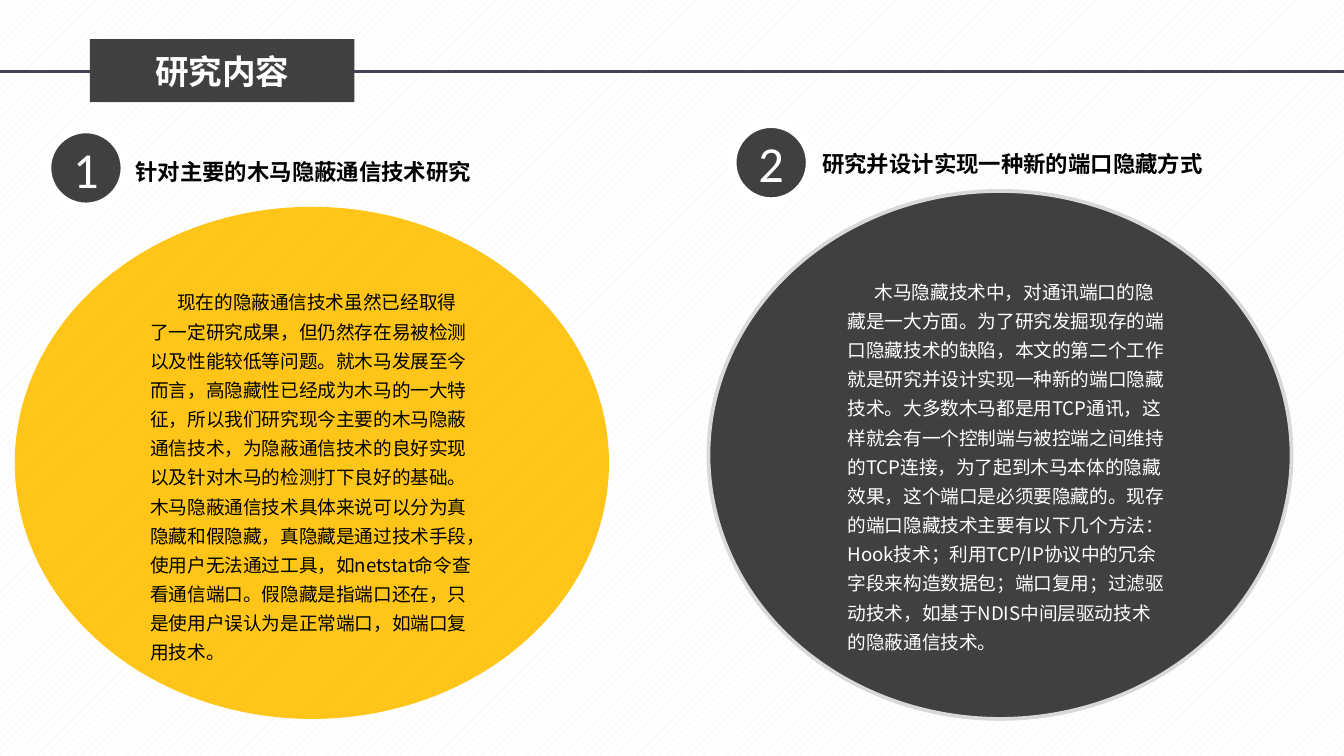
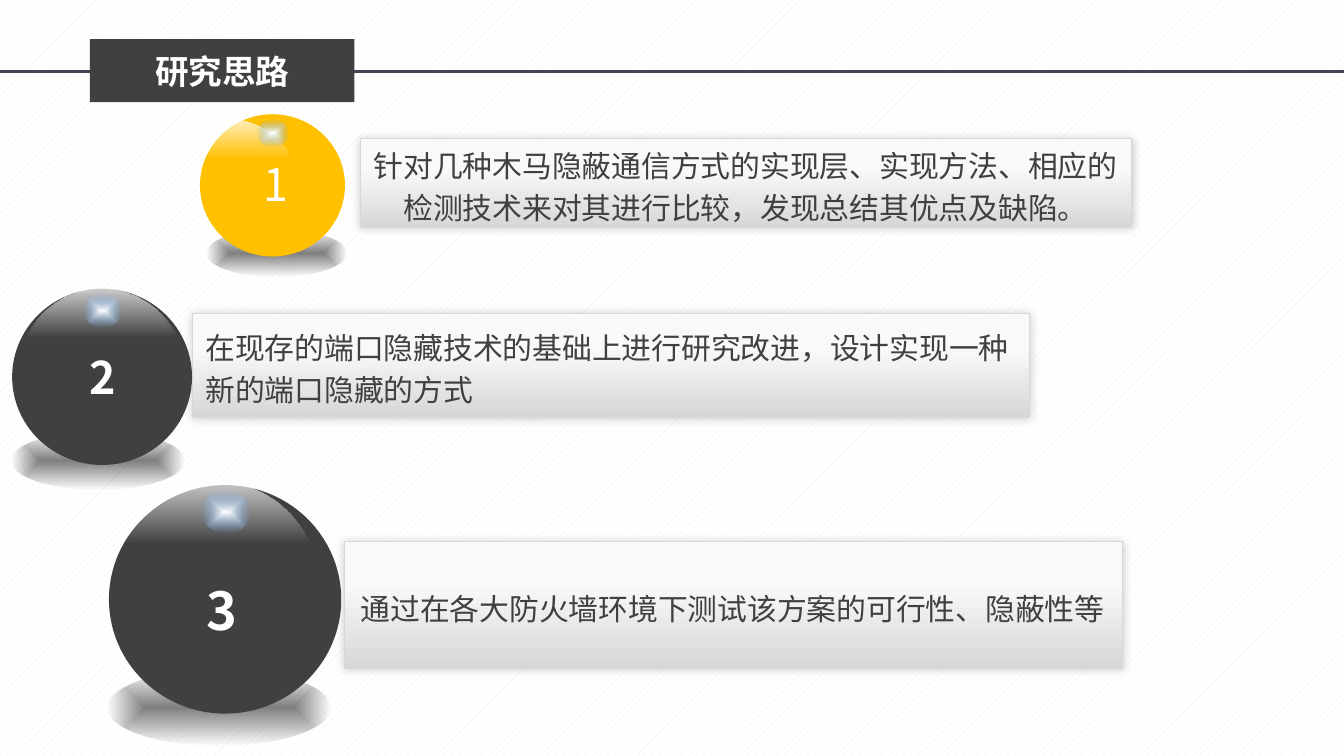
"""Build two slides on the content and the approach of a study of hidden Trojan communication."""
from dataclasses import dataclass
from math import acos, cos, sin

from lxml import etree
from pptx import Presentation
from pptx.dml.color import RGBColor
from pptx.enum.dml import MSO_PATTERN
from pptx.enum.shapes import MSO_CONNECTOR, MSO_SHAPE
from pptx.enum.text import MSO_ANCHOR, MSO_AUTO_SIZE, PP_ALIGN
from pptx.oxml.ns import qn
from pptx.util import Cm, Pt

OVAL, RECT = MSO_SHAPE.OVAL, MSO_SHAPE.RECTANGLE
LEFT, CENTER = PP_ALIGN.LEFT, PP_ALIGN.CENTER
TOP, MIDDLE = MSO_ANCHOR.TOP, MSO_ANCHOR.MIDDLE
NO_FIT, GROW = MSO_AUTO_SIZE.NONE, MSO_AUTO_SIZE.SHAPE_TO_FIT_TEXT


@dataclass(frozen=True)
class Theme:
    """Colours, fonts and type sizes of the deck."""
    dark: str = "404040"
    amber: str = "FFC000"
    white: str = "FFFFFF"
    black: str = "000000"
    rule: str = "414455"
    hatch: str = "F2F2F2"
    rim: str = "D9D9D9"
    panel_light: str = "F9F9F9"
    panel_dark: str = "D7D7D7"
    glint: str = "67ABF5"
    cjk: str = "Noto Sans CJK SC"
    sans: str = "Arial"
    digit: str = "Calibri"
    title_size: int = 18
    badge_size: int = 27
    heading_size: int = 12
    body_size: int = 10
    panel_size: int = 16


THEME = Theme()
SLIDE_SIZE = (25.4, 14.29)
TITLE_BOX = (1.7, 0.74, 5, 1.19)
RULE_Y = 1.35
BADGE = 1.47
TIGHT = (0.2, 0.1, 0.2, 0.1)
FIRST_INDENT = 0.51

CONTENT_TITLE = "研究内容"
TOPICS = [
    dict(number="1", heading="针对主要的木马隐蔽通信技术研究",
         paragraphs=["现在的隐蔽通信技术虽然已经取得了一定研究成果，但仍然存在易被检测以及性能较低等问题。"
                     "就木马发展至今而言，高隐藏性已经成为木马的一大特征，所以我们研究现今主要的木马隐蔽通信技术，"
                     "为隐蔽通信技术的良好实现以及针对木马的检测打下良好的基础。木马隐蔽通信技术具体来说可以分为"
                     "真隐藏和假隐藏，真隐藏是通过技术手段，使用户无法通过工具，如netstat命令查看通信端口。"
                     "假隐藏是指端口还在，只是使用户误认为是正常端口，如端口复用技术。"],
         fill=THEME.amber, opacity=90, rim=None, ink=THEME.black,
         oval=(0.28, 3.91, 11.23, 9.68), badge=(0.89, 2.44),
         heading_box=(2.36, 2.74, 6.78, 0.86), body_box=(2.64, 5.28, 6.53, 7.42)),
    dict(number="2", heading="研究并设计实现一种新的端口隐藏方式",
         paragraphs=["木马隐藏技术中，对通讯端口的隐藏是一大方面。为了研究发掘现存的端口隐藏技术的缺陷，"
                     "本文的第二个工作就是研究并设计实现一种新的端口隐藏技术。大多数木马都是用TCP通讯，"
                     "这样就会有一个控制端与被控端之间维持的TCP连接，为了起到木马本体的隐藏效果，"
                     "这个端口是必须要隐藏的。现存的端口隐藏技术主要有以下几个方法：",
                     "Hook技术；利用TCP/IP协议中的冗余字段来构造数据包；端口复用；过滤驱动技术，"
                     "如基于NDIS中间层驱动技术的隐蔽通信技术。"],
         fill=THEME.dark, opacity=100, rim=THEME.rim, ink=THEME.white,
         oval=(13.39, 3.61, 11.02, 9.98), badge=(13.84, 2.34),
         heading_box=(15.34, 2.59, 8.2, 0.86), body_box=(15.82, 5.08, 6.43, 7.42)),
]

APPROACH_TITLE = "研究思路"
STEPS = [
    dict(number="3", size=28, bold=True, fill=THEME.dark, align=CENTER,
         text="通过在各大防火墙环境下测试该方案的可行性、隐蔽性等",
         panel=(6.5, 10.24, 14.71, 2.39), ball=(2.06, 9.17, 4.39, 4.32),
         number_box=(3.63, 10.8, 1.12, 1.45), shade_shift=-0.03, gloss_shift=(0.15, -0.08)),
    dict(number="2", size=24, bold=True, fill=THEME.dark, align=LEFT,
         text="在现存的端口隐藏技术的基础上进行研究改进，设计实现一种新的端口隐藏的方式",
         panel=(3.63, 5.92, 15.82, 1.96), ball=(0.23, 5.46, 3.4, 3.33),
         number_box=(1.42, 6.48, 1.04, 1.27), shade_shift=0, gloss_shift=(0.28, 0)),
    dict(number="1", size=24, bold=False, fill=THEME.amber, align=CENTER,
         text="针对几种木马隐蔽通信方式的实现层、实现方法、相应的检测技术来对其进行比较，发现总结其优点及缺陷。",
         panel=(6.81, 2.62, 14.58, 1.68), ball=(3.78, 2.16, 2.74, 2.69),
         number_box=(4.42, 2.84, 1.6, 1.27), shade_shift=0.13, gloss_shift=(-0.56, 0.1)),
]


def rgb(color):
    """Turn a hex string into a colour."""
    return RGBColor.from_string(color)


def add_node(parent, tag, **attributes):
    """Append a DrawingML element with the given attributes."""
    return etree.SubElement(parent, qn("a:" + tag), {key: str(value) for key, value in attributes.items()})


def add_color(parent, color, opacity=100):
    """Append a colour, see-through when opacity is below 100."""
    node = add_node(parent, "srgbClr", val=color)
    if opacity < 100:
        add_node(node, "alpha", val=opacity * 1000)


def place(shape, left, top, width, height):
    """Set position and size in centimetres."""
    shape.left, shape.top, shape.width, shape.height = Cm(left), Cm(top), Cm(width), Cm(height)


def paint(shape, fill, opacity=100, line=None, weight=1):
    """Give a shape a plain fill, an optional outline and no shadow."""
    shape.shadow.inherit = False
    shape.fill.solid()
    shape.fill.fore_color.rgb = rgb(fill)
    if opacity < 100:
        solid = shape.fill._xPr.find(qn("a:solidFill"))
        add_node(solid[0], "alpha", val=opacity * 1000)
    if line:
        shape.line.color.rgb = rgb(line)
        shape.line.width = Pt(weight)
    else:
        shape.line.fill.background()


def blend(shape, stops, from_center=False):
    """Fill a shape with a gradient, downwards or out from its centre."""
    paint(shape, THEME.white)
    properties = shape._element.spPr
    gradient = etree.Element(qn("a:gradFill"), rotWithShape="1")
    stop_list = add_node(gradient, "gsLst")
    for position, color, opacity in stops:
        add_color(add_node(stop_list, "gs", pos=position * 1000), color, opacity)
    if from_center:
        outline = add_node(gradient, "path", path="shape")
        add_node(outline, "fillToRect", l=50000, t=50000, r=50000, b=50000)
    else:
        add_node(gradient, "lin", ang=5400000, scaled=0)
    properties.replace(properties.find(qn("a:solidFill")), gradient)


def write(shape, paragraphs, size, color, font, bold=False, align=LEFT, anchor=MIDDLE,
          spacing=None, insets=None, fit=NO_FIT, indent=0, wrap=True):
    """Fill a shape with paragraphs in one style; the indent is for the first."""
    frame = shape.text_frame
    frame.text = "\n".join(paragraphs)
    frame.word_wrap, frame.auto_size, frame.vertical_anchor = wrap, fit, anchor
    if insets:
        (frame.margin_left, frame.margin_top,
         frame.margin_right, frame.margin_bottom) = map(Cm, insets)
    for para in frame.paragraphs:
        para.alignment, para.line_spacing = align, spacing
        para.font.size, para.font.bold, para.font.name = Pt(size), bold, font
        para.font.color.rgb = rgb(color)
        add_node(para.font._element, "ea", typeface=THEME.cjk)
    if indent:
        first = frame.paragraphs[0]._p.get_or_add_pPr()
        first.set("marL", "0")
        first.set("indent", str(Cm(indent)))


def add_shape(shapes, kind, box):
    """Add a preset shape at a box given in centimetres."""
    return shapes.add_shape(kind, *map(Cm, box))


def add_text(shapes, box, paragraphs, *style, **options):
    """Add a text box with styled paragraphs."""
    write(shapes.add_textbox(*map(Cm, box)), paragraphs, *style, anchor=TOP, fit=GROW, **options)


def add_page(deck, title):
    """Add a slide with the hatched ground, the rule and the title tab."""
    page = deck.slides.add_slide(deck.slide_layouts[5])
    ground = page.background.fill
    ground.patterned()
    ground.pattern = MSO_PATTERN.WIDE_UPWARD_DIAGONAL
    ground.fore_color.rgb, ground.back_color.rgb = rgb(THEME.hatch), rgb(THEME.white)
    rule = page.shapes.add_connector(MSO_CONNECTOR.STRAIGHT, 0, Cm(RULE_Y), deck.slide_width, Cm(RULE_Y))
    rule.line.color.rgb, rule.line.width = rgb(THEME.rule), Pt(1.5)
    add_node(rule._element.spPr, "effectLst")
    tab = page.shapes.title
    place(tab, *TITLE_BOX)
    add_node(add_node(tab._element.spPr, "prstGeom", prst="roundRect"), "avLst")
    paint(tab, THEME.dark)
    write(tab, [title], THEME.title_size, THEME.white, THEME.cjk, bold=True, align=CENTER)
    rule._element.addnext(tab._element)
    return page


def add_topic(page, topic):
    """Add a numbered heading above an oval of text."""
    shapes = page.shapes
    paint(add_shape(shapes, OVAL, topic["oval"]), topic["fill"], topic["opacity"], topic["rim"], 2)
    badge = add_shape(shapes, OVAL, (*topic["badge"], BADGE, BADGE))
    paint(badge, THEME.dark, line=THEME.white, weight=4.5)
    write(badge, [topic["number"]], THEME.badge_size, THEME.white, THEME.digit, align=CENTER, insets=TIGHT)
    add_text(shapes, topic["heading_box"], [topic["heading"]], THEME.heading_size, THEME.black,
             THEME.sans, bold=True, spacing=1.3, insets=TIGHT)
    add_text(shapes, topic["body_box"], topic["paragraphs"], THEME.body_size, topic["ink"],
             THEME.cjk, spacing=1.3, insets=TIGHT, indent=FIRST_INDENT)


def add_gloss(shapes, left, top, width, height):
    """Add the bright cap of a ball as a segment of a circle."""
    radius = (width ** 2 / 4 + height ** 2) / (2 * height)
    half, steps = acos(1 - height / radius), 48
    angles = [half * (2 * step / steps - 1) for step in range(steps + 1)]
    points = [(Cm(left + width / 2 + radius * sin(angle)), Cm(top + radius * (1 - cos(angle))))
              for angle in angles]
    outline = shapes.build_freeform(*points[0])
    outline.add_line_segments(points[1:], close=True)
    blend(outline.convert_to_shape(), [(0, THEME.white, 75), (100, THEME.white, 0)])


def add_ball(page, step):
    """Add a numbered glossy ball with its shade on the ground."""
    shapes = page.shapes.add_group_shape().shapes
    left, top, width, height = step["ball"]
    shade = add_shape(shapes, OVAL, (left + step["shade_shift"], top + 0.81 * height, 0.96 * width, 0.33 * height))
    blend(shade, [(0, THEME.black, 50), (100, THEME.black, 0)], from_center=True)
    paint(add_shape(shapes, OVAL, step["ball"]), step["fill"])
    shift_x, shift_y = step["gloss_shift"]
    add_gloss(shapes, left + shift_x, top + shift_y, 0.83 * width, 0.27 * height)
    glint = add_shape(shapes, OVAL, (left + 0.4 * width, top + 0.1, 0.21 * width, 0.19 * height))
    blend(glint, [(0, THEME.white, 100), (100, THEME.glint, 0)], from_center=True)
    add_text(shapes, step["number_box"], [step["number"]], step["size"], THEME.white, THEME.cjk,
             bold=step["bold"], align=CENTER, wrap=False)


def add_panel(page, step):
    """Add the shaded panel that holds the text of a step."""
    panel = add_shape(page.shapes, RECT, step["panel"])
    blend(panel, [(33, THEME.panel_light, 100), (100, THEME.panel_dark, 100)])
    panel.line.color.rgb, panel.line.width = rgb(THEME.panel_dark), Pt(0.25)
    effects = panel._element.spPr.find(qn("a:effectLst"))
    add_color(add_node(effects, "outerShdw", blurRad=Pt(5), dist=0, dir=0, algn="ctr"), THEME.black, 20)
    write(panel, [step["text"]], THEME.panel_size, THEME.dark, THEME.sans, align=step["align"], spacing=1.2)


deck = Presentation()
deck.slide_width, deck.slide_height = map(Cm, SLIDE_SIZE)

content_page = add_page(deck, CONTENT_TITLE)
for topic in TOPICS:
    add_topic(content_page, topic)

approach_page = add_page(deck, APPROACH_TITLE)
for step in STEPS:
    add_panel(approach_page, step)
    add_ball(approach_page, step)

deck.save("out.pptx")
